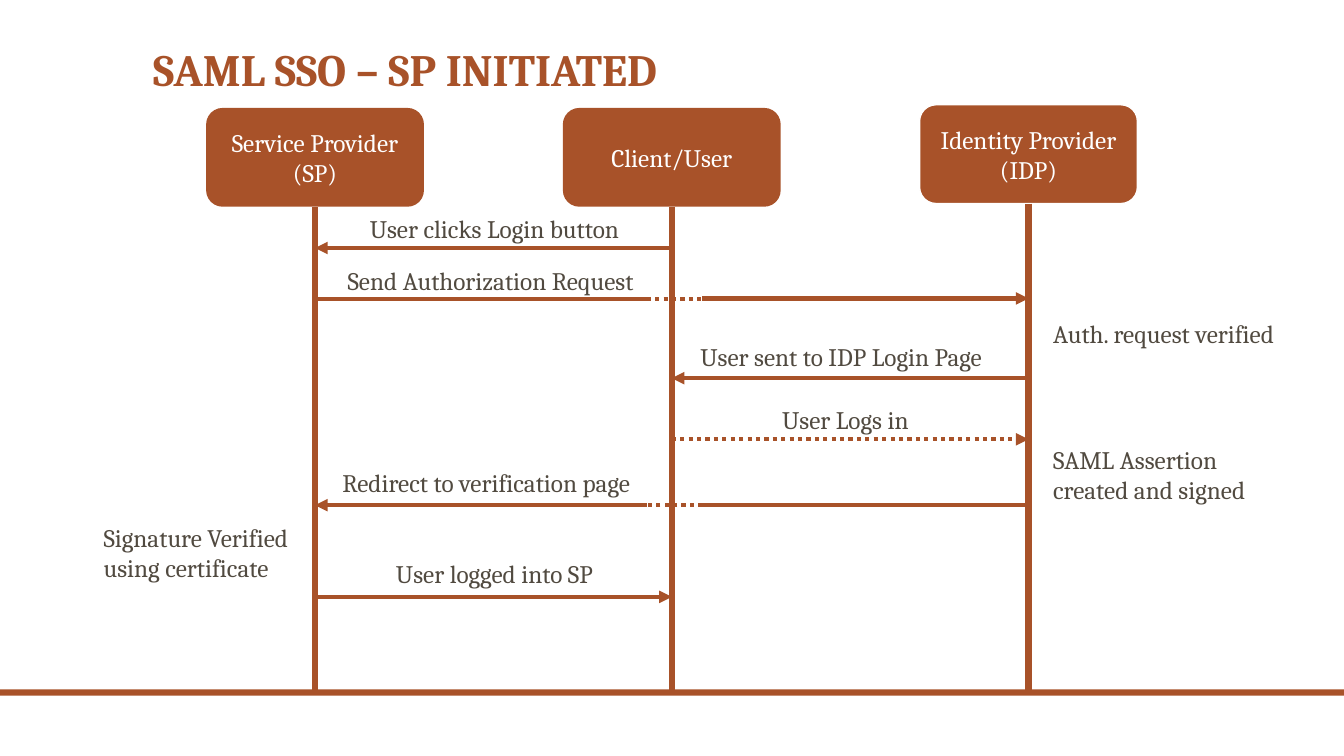
from lxml.etree import SubElement
from pptx import Presentation
from pptx.dml.color import RGBColor
from pptx.enum.dml import MSO_LINE
from pptx.enum.shapes import MSO_CONNECTOR, MSO_SHAPE
from pptx.enum.text import MSO_ANCHOR, PP_ALIGN
from pptx.oxml.ns import qn
from pptx.util import Cm, Pt

RUST = RGBColor(0xA8, 0x52, 0x29)
BROWN = RGBColor(0x51, 0x4A, 0x40)
WHITE = RGBColor(0xFF, 0xFF, 0xFF)
FONT = "Cambria"

SLIDE_W, SLIDE_H = 33.87, 19.05
BOX_W, BOX_H = 5.49, 2.49
BASE_Y = 17.45
SP_X, USER_X, IDP_X = (7.94 + 8.99 * i for i in range(3))
GAP_LEFT, GAP_RIGHT = 16.3, 17.7  # where a message passes the user's lifeline

# name, centre x, top
ACTORS = [
    ("Service Provider (SP)", SP_X, 2.72),
    ("Client/User", USER_X, 2.72),
    ("Identity Provider (IDP)", IDP_X, 2.64),
]

# from x, to x, y, dotted, arrowhead
MESSAGES = [
    (USER_X, SP_X, 6.25, False, True),
    (SP_X, GAP_LEFT, 7.54, False, False),
    (GAP_LEFT, GAP_RIGHT, 7.54, True, False),
    (GAP_RIGHT, IDP_X, 7.52, False, True),
    (IDP_X, USER_X, 9.53, False, True),
    (USER_X, IDP_X, 11.07, True, True),
    (IDP_X, GAP_RIGHT, 12.73, False, False),
    (GAP_RIGHT, GAP_LEFT, 12.73, True, False),
    (GAP_LEFT, SP_X, 12.73, False, True),
    (SP_X, USER_X, 15.04, False, True),
]

# text, left, top, width
LABELS = [
    ("User clicks Login button", 9.07, 5.26, 7.09),
    ("Send Authorization Request", 8.51, 6.55, 8.15),
    ("Auth. request verified", 26.29, 7.9, 6.45),
    ("User sent to IDP Login Page", 17.4, 8.48, 8.03),
    ("User Logs in", 19.46, 10.06, 3.89),
    ("Redirect to verification page", 8.38, 11.66, 8.2),
    ("User logged into SP", 9.73, 13.94, 5.79),
]
WRAPPED_NOTES = [
    ("SAML Assertion created and signed", 26.29, 11.07, 6.15),
    ("Signature Verified using certificate", 2.36, 13.03, 6.68),
]


def set_text(tf, text, color, size=18, bold=False):
    tf.text = text
    font = tf.paragraphs[0].runs[0].font
    font.name, font.size, font.bold = FONT, Pt(size), bold
    font.color.rgb = color


def add_text(slide, text, left, top, width, height=1.02, wrap=False,
             color=BROWN, size=18, bold=False):
    tb = slide.shapes.add_textbox(Cm(left), Cm(top), Cm(width), Cm(height))
    tf = tb.text_frame
    tf.word_wrap = wrap
    set_text(tf, text, color, size, bold)
    return tf


def add_filled(slide, kind, left, top, width, height):
    sp = slide.shapes.add_shape(kind, Cm(left), Cm(top), Cm(width), Cm(height))
    sp.shadow.inherit = False
    sp.fill.solid()
    sp.fill.fore_color.rgb = RUST
    sp.line.fill.background()
    return sp


def add_line(slide, x1, y1, x2, y2, width, dotted=False, arrow=False):
    cn = slide.shapes.add_connector(
        MSO_CONNECTOR.STRAIGHT, Cm(x1), Cm(y1), Cm(x2), Cm(y2))
    cn.line.color.rgb = RUST
    cn.line.width = Pt(width)
    if dotted:
        cn.line.dash_style = MSO_LINE.ROUND_DOT
    if arrow:
        SubElement(cn.line._get_or_add_ln(), qn("a:tailEnd"), type="triangle")
    SubElement(cn._element.spPr, qn("a:effectLst"))
    return cn


def add_actor(slide, name, x, top):
    """Add the header box of an actor and the lifeline below it."""
    box = add_filled(slide, MSO_SHAPE.FLOWCHART_ALTERNATE_PROCESS,
                     x - BOX_W / 2, top, BOX_W, BOX_H)
    tf = box.text_frame
    tf.word_wrap = True
    tf.vertical_anchor = MSO_ANCHOR.MIDDLE
    set_text(tf, name, WHITE)
    tf.paragraphs[0].alignment = PP_ALIGN.CENTER
    lifeline = add_line(slide, x, top + BOX_H, x, BASE_Y, 4.5)
    lifeline.begin_connect(box, 2)
    return box


def main():
    prs = Presentation()
    prs.slide_width, prs.slide_height = Cm(SLIDE_W), Cm(SLIDE_H)
    slide = prs.slides.add_slide(prs.slide_layouts[6])

    add_filled(slide, MSO_SHAPE.RECTANGLE, 0, BASE_Y - 0.08, SLIDE_W, 0.16)
    title = add_text(slide, "SAML SSO – SP INITIATED", 3.61, 1.07, 26.67, 3.18,
                     wrap=True, color=RUST, size=32, bold=True)
    title.paragraphs[0].line_spacing = 0.9

    boxes = [add_actor(slide, *actor) for actor in ACTORS]
    boxes[-1].line.color.rgb = WHITE
    boxes[-1].line.width = Pt(1)

    for x1, x2, y, dotted, arrow in MESSAGES:
        add_line(slide, x1, y, x2, y, 3, dotted, arrow)
    for label in LABELS:
        add_text(slide, *label)
    for note in WRAPPED_NOTES:
        add_text(slide, *note, height=1.8, wrap=True)

    prs.save("out.pptx")


if __name__ == "__main__":
    main()
